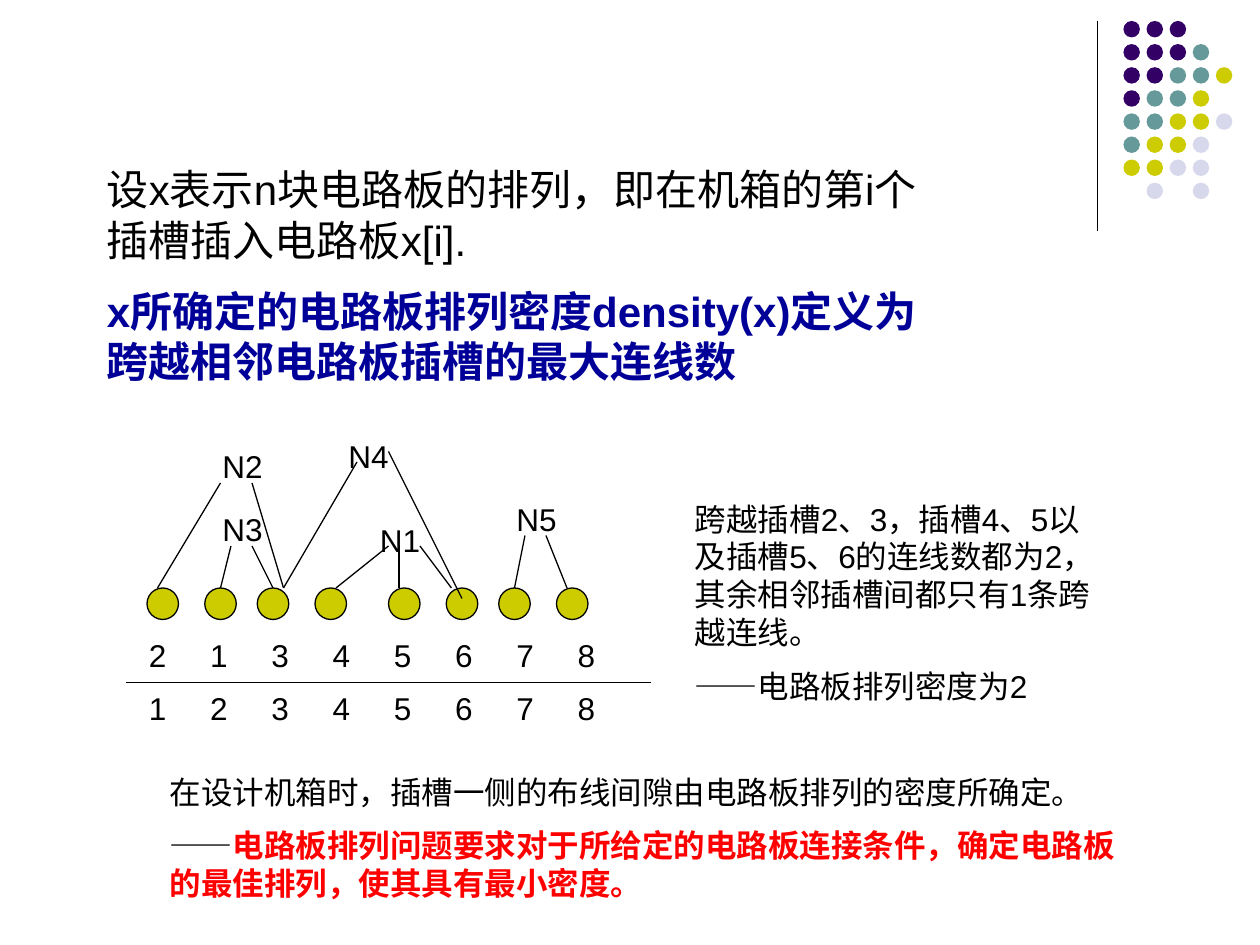
"""Build the slide that defines the density of a circuit board arrangement."""
from lxml.etree import SubElement
from pptx import Presentation
from pptx.dml.color import RGBColor
from pptx.enum.shapes import MSO_CONNECTOR, MSO_SHAPE
from pptx.oxml.ns import qn
from pptx.util import Pt

BLACK, NAVY, RED, YELLOW = "000000", "000099", "FF0000", "CCCC00"
DOT_COLORS = {"P": "330066", "T": "669999", "Y": YELLOW, "L": "D8D8EC"}
DOT_ROWS = ["PPP", "PPPT", "PPTTY", "PTTY", "TTYYL", "TYYL", "YYLL", " L L"]
BOARD_LEFTS = [84, 117, 147, 180, 222, 255, 285, 318]
SLOT_ROWS = [(360, "21345678"), (390, "12345678")]
NETS = [
    ("N1", 210, 294, [(192, 336, 222, 312), (228, 336, 228, 312), (240, 312, 258, 336)]),
    ("N2", 120, 252, [(90, 336, 126, 276), (144, 276, 162, 336)]),
    ("N3", 120, 288, [(126, 336, 132, 312), (156, 336, 144, 312)]),
    ("N4", 192, 246, [(204, 264, 162, 336), (222, 258, 264, 342)]),
    ("N5", 288, 282, [(294, 336, 300, 306), (312, 306, 324, 336)]),
]


def color(value):
    return RGBColor.from_string(value)


class Canvas:
    """Hold the style and the current slide."""

    font = "Arial"
    line_width = 0.75

    def __init__(self, page):
        self.page = page

    def line(self, x1, y1, x2, y2):
        line = self.page.shapes.add_connector(
            MSO_CONNECTOR.STRAIGHT, Pt(x1), Pt(y1), Pt(x2), Pt(y2))
        line.line.color.rgb = color(BLACK)
        line.line.width = Pt(self.line_width)
        SubElement(line._element.spPr, qn("a:effectLst"))

    def circle(self, left, top, size, fill, outlined=False):
        circle = self.page.shapes.add_shape(
            MSO_SHAPE.OVAL, Pt(left), Pt(top), Pt(size), Pt(size))
        circle.shadow.inherit = False
        circle.fill.solid()
        circle.fill.fore_color.rgb = color(fill)
        if outlined:
            circle.line.color.rgb = color(BLACK)
            circle.line.width = Pt(self.line_width)
        else:
            circle.line.fill.background()

    def text(self, left, top, width, height, paras, size=18, tabs=()):
        box = self.page.shapes.add_textbox(Pt(left), Pt(top), Pt(width), Pt(height))
        frame = box.text_frame
        frame.word_wrap = True
        for index, spans in enumerate(paras):
            para = frame.add_paragraph() if index else frame.paragraphs[0]
            if tabs:
                stops = SubElement(para._p.get_or_add_pPr(), qn("a:tabLst"))
                for position in tabs:
                    SubElement(stops, qn("a:tab"), pos=str(Pt(position)), algn="l")
            if index:
                para.space_before = Pt(size / 2)
            for words, tint, bold in spans:
                span = para.add_run()
                span.text = words
                span.font.name = self.font
                span.font.size = Pt(size)
                span.font.bold = bold
                span.font.color.rgb = color(tint)


def main():
    deck = Presentation()
    deck.slide_width, deck.slide_height = Pt(720), Pt(540)
    canvas = Canvas(deck.slides.add_slide(deck.slide_layouts[6]))

    canvas.line(627, 12, 627, 132)
    for row, letters in enumerate(DOT_ROWS):
        for column, letter in enumerate(letters):
            if letter in DOT_COLORS:
                canvas.circle(642 + 13.2 * column, 12 + 13.2 * row, 9.4, DOT_COLORS[letter])

    canvas.text(54, 90, 486, 137, [
        [("设x表示n块电路板的排列，即在机箱的第i个插槽插入电路板x[i].", BLACK, False)],
        [("x所确定的电路板排列密度density(x)定义为跨越相邻电路板插槽的最大连线数", NAVY, True)],
    ], size=24)

    for left in BOARD_LEFTS:
        canvas.circle(left, 336, 18, YELLOW, outlined=True)
    canvas.line(72, 390, 372, 390)
    for top, digits in SLOT_ROWS:
        canvas.text(78, top, 312, 29, [[("\t".join(digits), BLACK, False)]],
                    tabs=[35 * step for step in range(1, len(digits))])
    for name, left, top, wires in NETS:
        canvas.text(left, top, 42, 29, [[(name, BLACK, False)]])
        for wire in wires:
            canvas.line(*wire)

    canvas.text(390, 282, 252, 126, [
        [("跨越插槽2、3，插槽4、5以及插槽5、6的连线数都为2，其余相邻插槽间都只有1条跨越连线。", BLACK, False)],
        [("——电路板排列密度为2", BLACK, False)],
    ])
    canvas.text(90, 438, 570, 83, [
        [("在设计机箱时，插槽一侧的布线间隙由电路板排列的密度所确定。", BLACK, False)],
        [("——", BLACK, False),
         ("电路板排列问题要求对于所给定的电路板连接条件，确定电路板的最佳排列，使其具有最小密度。", RED, True)],
    ])
    deck.save("out.pptx")


if __name__ == "__main__":
    main()
